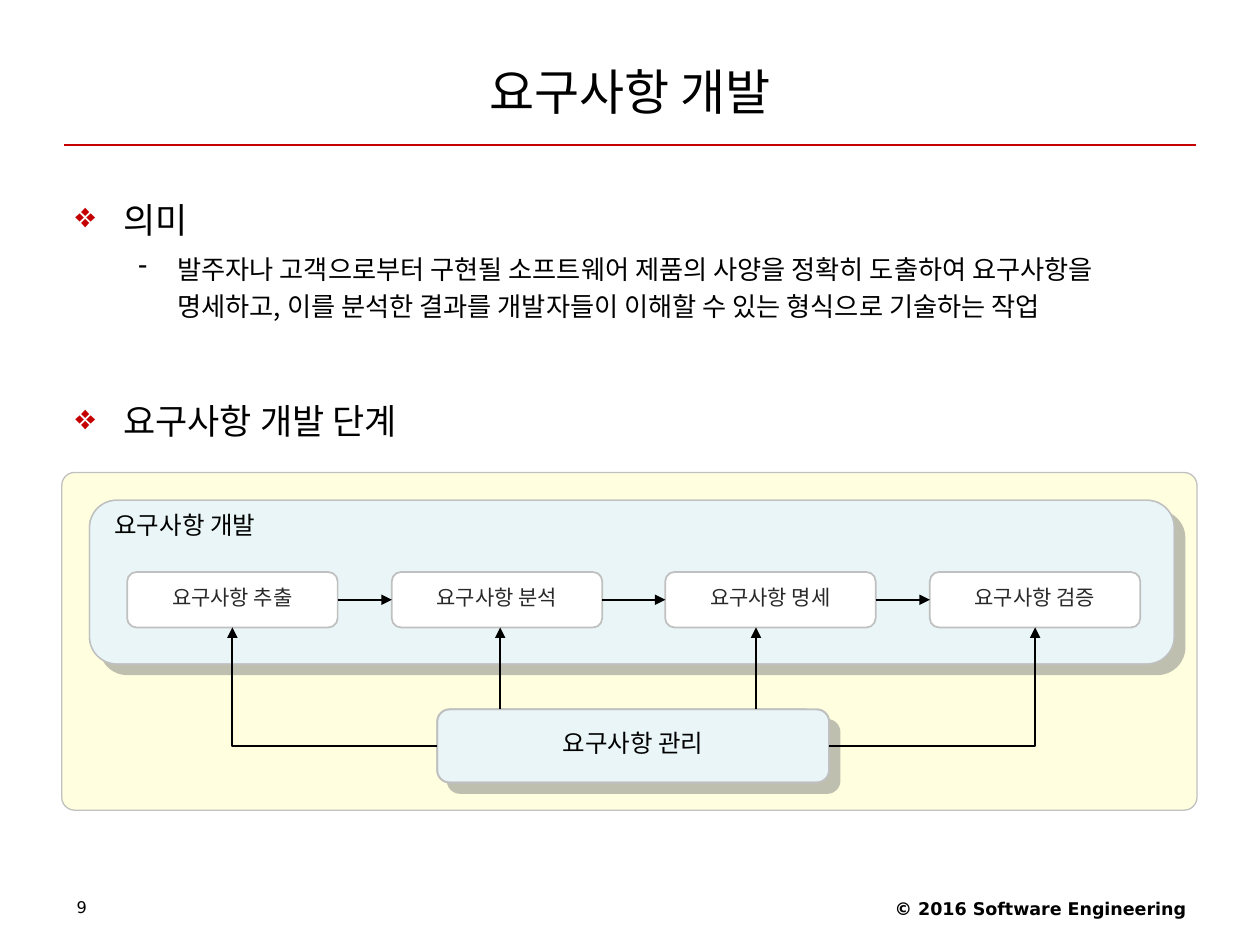
from itertools import pairwise

from lxml.etree import SubElement
from pptx import Presentation
from pptx.dml.color import RGBColor
from pptx.enum.shapes import MSO_CONNECTOR, MSO_SHAPE
from pptx.enum.text import MSO_ANCHOR, PP_ALIGN
from pptx.oxml.ns import qn
from pptx.util import Inches, Pt

KOREAN = "Noto Sans CJK KR"
LATIN = "DejaVu Sans"
BLACK = RGBColor(0x00, 0x00, 0x00)
WHITE = RGBColor(0xFF, 0xFF, 0xFF)
CHARCOAL = RGBColor(0x29, 0x29, 0x29)
RED = RGBColor(0xC4, 0x00, 0x00)
SILVER = RGBColor(0xC0, 0xC0, 0xC0)
YELLOW = RGBColor(0xFF, 0xFF, 0x99)
TEAL = RGBColor(0xBB, 0xE0, 0xE3)

TITLE = "요구사항 개발"
# text, size, bullet, bullet colour, left margin, hanging, line spacing, space before
BODY = [
    ("의미", 20, "❖", RED, 0.38, 0.38, 1.4, 5),
    ("발주자나 고객으로부터 구현될 소프트웨어 제품의 사양을 정확히 도출하여 요구사항을 "
     "명세하고, 이를 분석한 결과를 개발자들이 이해할 수 있는 형식으로 기술하는 작업",
     15, "-", BLACK, 0.81, 0.31, 1.2, 3.7),
    ("요구사항 개발 단계", 20, "❖", RED, 0.38, 0.38, 1.4, 34.8),
]
STEPS = [("요구사항 추출", 1.01), ("요구사항 분석", 3.11),
         ("요구사항 명세", 5.28), ("요구사항 검증", 7.38)]
STEP_TOP, STEP_WIDTH, STEP_HEIGHT = 4.54, 1.67, 0.44
MANAGEMENT = "요구사항 관리"
MANAGEMENT_BOX = (3.47, 5.63, 3.11, 0.58)
DEVELOPMENT = "요구사항 개발"
DEVELOPMENT_BOX = (0.71, 3.97, 8.61, 1.3)
PANEL_BOX = (0.49, 3.75, 9.01, 2.68)
UPWARD_ARROWS = [3.97, 6]
FOOTER = "© 2016 Software Engineering"
PAGE_NUMBER = "9"

presentation = Presentation()
presentation.slide_width, presentation.slide_height = Inches(10), Inches(7.5)
slide = presentation.slides.add_slide(presentation.slide_layouts[6])


def add_run(paragraph, text, size, color=BLACK, font=KOREAN, bold=False):
    run = paragraph.add_run()
    run.text = text
    run.font.size = Pt(size)
    run.font.name = font
    run.font.bold = bold
    run.font.color.rgb = color
    SubElement(run.font._element, qn("a:ea"), typeface=font)


def add_text(box, text, size, align=PP_ALIGN.LEFT, anchor=MSO_ANCHOR.TOP,
             wrap=True, line_spacing=1, **style):
    text_box = slide.shapes.add_textbox(*map(Inches, box))
    frame = text_box.text_frame
    frame.word_wrap = wrap
    frame.vertical_anchor = anchor
    paragraph = frame.paragraphs[0]
    paragraph.alignment = align
    paragraph.line_spacing = line_spacing
    add_run(paragraph, text, size, **style)


def add_bullet(paragraph, character, color, margin, hanging):
    properties = paragraph._p.get_or_add_pPr()
    properties.set("marL", str(Inches(margin)))
    properties.set("indent", str(-Inches(hanging)))
    bullet_color = SubElement(properties, qn("a:buClr"))
    SubElement(bullet_color, qn("a:srgbClr"), val=str(color))
    SubElement(properties, qn("a:buChar"), char=character)


def add_rounded(box, fill, line_width, corner=0.167, opacity=None):
    shape = slide.shapes.add_shape(MSO_SHAPE.ROUNDED_RECTANGLE, *map(Inches, box))
    shape.adjustments[0] = corner
    shape.shadow.inherit = False
    shape.fill.solid()
    shape.fill.fore_color.rgb = fill
    shape.line.color.rgb = SILVER
    shape.line.width = Pt(line_width)
    if opacity:
        color = shape._element.spPr.find(qn("a:solidFill")).find(qn("a:srgbClr"))
        SubElement(color, qn("a:alpha"), val=str(opacity * 1000))
    return shape


def add_shadowed(box, line_width):
    """Tinted box laid over a white one that casts a hard diagonal shadow."""
    base = add_rounded(box, WHITE, line_width)
    effects = base._element.spPr.find(qn("a:effectLst"))
    shadow = SubElement(effects, qn("a:outerShdw"), blurRad="0", dist=str(Pt(8.5)),
                        dir=str(45 * 60000), algn="ctr", rotWithShape="0")
    color = SubElement(shadow, qn("a:srgbClr"), val="808080")
    SubElement(color, qn("a:alpha"), val="50000")
    return add_rounded(box, TEAL, line_width, opacity=31)


def label(shape, text, size, color, space_before):
    frame = shape.text_frame
    frame.word_wrap = False
    frame.vertical_anchor = MSO_ANCHOR.MIDDLE
    paragraph = frame.paragraphs[0]
    paragraph.alignment = PP_ALIGN.CENTER
    paragraph.line_spacing = 0.8
    paragraph.space_before = Pt(space_before)
    add_run(paragraph, text, size, color)


def add_line(start=(0, 0), end=(0, 0), color=BLACK, width=1, arrow=True,
             kind=MSO_CONNECTOR.STRAIGHT, source=None, target=None):
    """Draw between two points, or between (shape, side) pairs."""
    connector = slide.shapes.add_connector(kind, *map(Inches, (*start, *end)))
    if source:
        connector.begin_connect(*source)
        connector.end_connect(*target)
    connector.line.color.rgb = color
    connector.line.width = Pt(width)
    properties = connector._element.spPr
    if arrow:
        SubElement(properties.find(qn("a:ln")), qn("a:tailEnd"), type="triangle")
    SubElement(properties, qn("a:effectLst"))
    if kind == MSO_CONNECTOR.ELBOW:
        properties.find(qn("a:prstGeom")).set("prst", "bentConnector2")


# Title, rule and footer
add_line((0.51, 1.15), (9.49, 1.15), RED, 0.75, arrow=False)
add_text((6.34, 7.08, 3.17, 0.29), FOOTER, 10, PP_ALIGN.RIGHT, font=LATIN, bold=True)
add_text((0.51, 7.09, 2.33, 0.28), PAGE_NUMBER, 9.2, line_spacing=0.9, font=LATIN)
add_text((0.5, 0.3, 9, 0.85), TITLE, 28, PP_ALIGN.CENTER, MSO_ANCHOR.MIDDLE)

# Bulleted body
body = slide.shapes.add_textbox(*map(Inches, (0.5, 1.39, 9, 5.51))).text_frame
body.word_wrap = True
for index, (text, size, bullet, color, margin, hanging, spacing, before) in enumerate(BODY):
    paragraph = body.add_paragraph() if index else body.paragraphs[0]
    paragraph.line_spacing = spacing
    paragraph.space_before = Pt(before)
    add_bullet(paragraph, bullet, color, margin, hanging)
    add_run(paragraph, text, size)

# Process diagram
add_rounded(PANEL_BOX, YELLOW, 0.75, corner=0.038, opacity=31)
management = add_shadowed(MANAGEMENT_BOX, 1)
label(management, MANAGEMENT, 14, BLACK, 3.5)
add_shadowed(DEVELOPMENT_BOX, 0.75)
add_text((0.81, 4, 1.39, 0.34), DEVELOPMENT, 14, wrap=False)

steps = []
for text, left in STEPS:
    step = add_rounded((left, STEP_TOP, STEP_WIDTH, STEP_HEIGHT), WHITE, 1)
    label(step, text, 12, CHARCOAL, 3)
    steps.append(step)
for step, following in pairwise(steps):
    add_line(source=(step, 3), target=(following, 1))
for side, step in ((1, steps[0]), (3, steps[-1])):
    add_line(kind=MSO_CONNECTOR.ELBOW, source=(management, side), target=(step, 2))
for x in UPWARD_ARROWS:
    add_line((x, MANAGEMENT_BOX[1]), (x, STEP_TOP + STEP_HEIGHT))

presentation.save("out.pptx")
